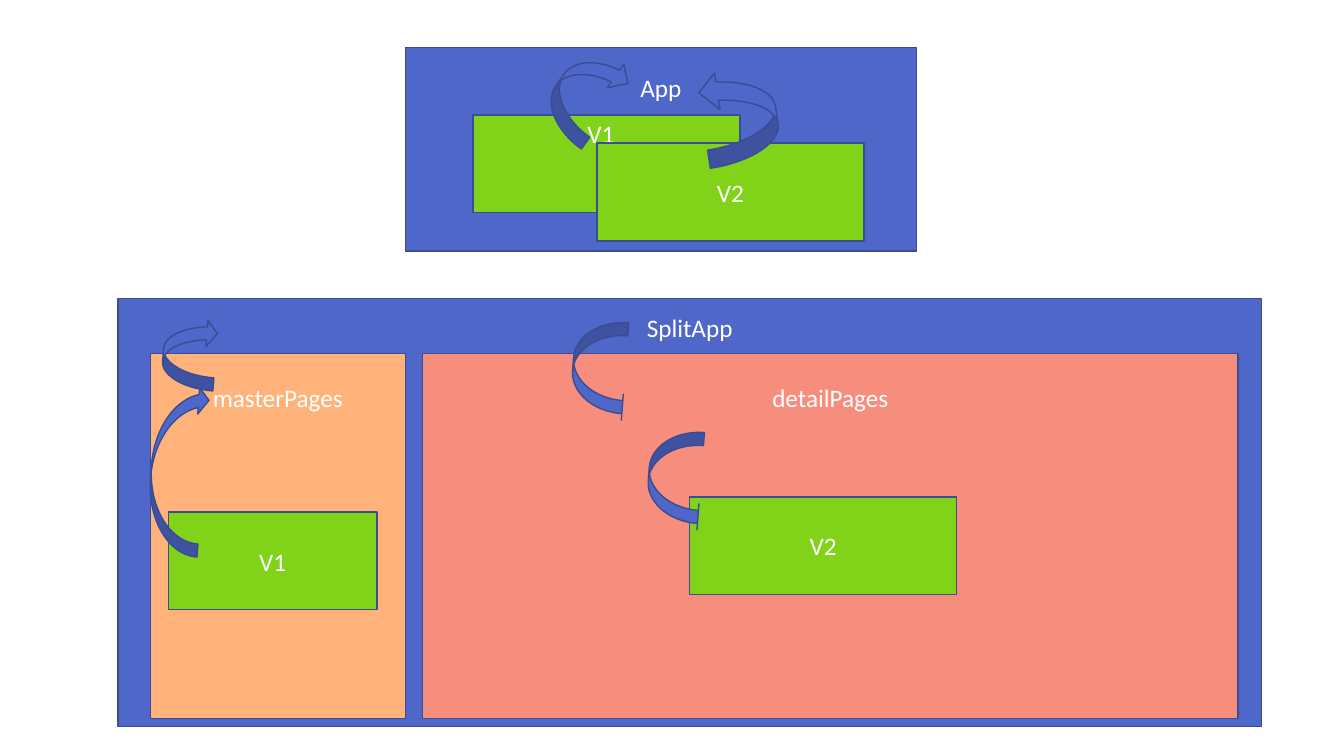
from dataclasses import dataclass

from pptx import Presentation
from pptx.dml.color import RGBColor
from pptx.enum.shapes import MSO_SHAPE
from pptx.enum.text import MSO_ANCHOR, PP_ALIGN
from pptx.oxml.ns import qn
from pptx.util import Inches, Pt

RECT = MSO_SHAPE.RECTANGLE
CURVED_ARROW = MSO_SHAPE.CURVED_RIGHT_ARROW
TOP, MIDDLE = MSO_ANCHOR.TOP, MSO_ANCHOR.MIDDLE
CENTER = PP_ALIGN.CENTER

BLUE = RGBColor(0x4E, 0x67, 0xC8)
NAVY = RGBColor(0x3A, 0x4C, 0x94)
GREEN = RGBColor(0x81, 0xD3, 0x1A)
ORANGE = RGBColor(0xFF, 0xB3, 0x7A)
CORAL = RGBColor(0xF7, 0x8D, 0x7C)
WHITE = RGBColor(0xFF, 0xFF, 0xFF)

SLIDE_W, SLIDE_H = Inches(13.33), Inches(7.5)
VIEW_W, VIEW_H = 19.88, 12.93
PAGES_Y, PAGES_H = 46.8, 48.27
ARROW_W = 3.9
SIDE_INSET = 0.75


# All lengths are percentages of the slide's width or height
@dataclass
class Box:
    text: str
    x: float
    y: float
    w: float
    h: float
    fill: RGBColor
    top: float | None = None  # inset of a heading; None centres the text
    right: float = SIDE_INSET


@dataclass
class Arrow:
    x: float
    y: float
    w: float
    h: float
    rotation: float
    flips: str = ""
    head: float = 0.25


BOXES = [
    # App with its two views
    Box("App", 30.16, 6.27, 38.03, 26.93, BLUE, top=3.3),
    Box("V1", 35.18, 15.2, VIEW_W, VIEW_H, GREEN, top=0.4, right=1.58),
    Box("V2", 44.41, 18.93, VIEW_W, VIEW_H, GREEN),
    # SplitApp with its page areas and views
    Box("SplitApp", 8.78, 39.47, 85.07, 56.67, BLUE, top=1.9),
    Box("masterPages", 11.18, PAGES_Y, 18.98, PAGES_H, ORANGE, top=3.8),
    Box("detailPages", 31.43, PAGES_Y, 60.69, PAGES_H, CORAL, top=3.8),
    Box("V2", 51.31, 65.73, VIEW_W, VIEW_H, GREEN),
    Box("V1", 12.53, 67.73, 15.53, VIEW_H, GREEN),
]

ARROWS = [
    # Views to App
    Arrow(52.29, 9.07, 5.48, 12.53, 171.4),
    Arrow(41.41, 6.13, 4.28, 12.53, 215.4, "H"),
    # V1 to masterPages to SplitApp
    Arrow(11.25, 50.93, ARROW_W, 22.53, 184.4, "H", 0.195),
    Arrow(12.15, 42.13, ARROW_W, 9.33, 184.4, "H", 0.195),
    # SplitApp to detailPages to V2
    Arrow(42.61, 42.4, ARROW_W, VIEW_H, 184.4, "HV", 0),
    Arrow(48.24, 56.93, ARROW_W, VIEW_H, 184.4, "HV", 0),
]


def across(share: float) -> int:
    return round(SLIDE_W * share / 100)


def down(share: float) -> int:
    return round(SLIDE_H * share / 100)


def add_part(s, preset, part: Box | Arrow, fill: RGBColor):
    sp = s.shapes.add_shape(preset, across(part.x), down(part.y),
                            across(part.w), down(part.h))
    sp.shadow.inherit = False
    sp.fill.solid()
    sp.fill.fore_color.rgb = fill
    sp.line.color.rgb = NAVY
    sp.line.width = Pt(1)
    return sp


def write(tf, text: str, *, size: float = 18, font: str = "Calibri",
          color: RGBColor = WHITE, anchor=MIDDLE, align=CENTER) -> None:
    tf.word_wrap = True
    tf.vertical_anchor = anchor
    p = tf.paragraphs[0]
    p.alignment = align
    r = p.add_run()
    r.text = text
    r.font.size = Pt(size)
    r.font.name = font
    r.font.color.rgb = color


def draw_box(s, box: Box) -> None:
    tf = add_part(s, RECT, box, box.fill).text_frame
    tf.margin_left, tf.margin_right = across(SIDE_INSET), across(box.right)
    if box.top is not None:
        tf.margin_top = down(box.top)
    write(tf, box.text, anchor=MIDDLE if box.top is None else TOP)


def draw_arrow(s, arrow: Arrow) -> None:
    sp = add_part(s, CURVED_ARROW, arrow, BLUE)
    sp.rotation = arrow.rotation
    sp.adjustments[2] = arrow.head
    xfrm = sp._element.spPr.find(qn("a:xfrm"))
    for axis in arrow.flips:
        xfrm.set(f"flip{axis}", "1")


def main() -> None:
    prs = Presentation()
    prs.slide_width, prs.slide_height = SLIDE_W, SLIDE_H
    s = prs.slides.add_slide(prs.slide_layouts[6])
    for box in BOXES:
        draw_box(s, box)
    for arrow in ARROWS:
        draw_arrow(s, arrow)
    prs.save("out.pptx")


if __name__ == "__main__":
    main()
